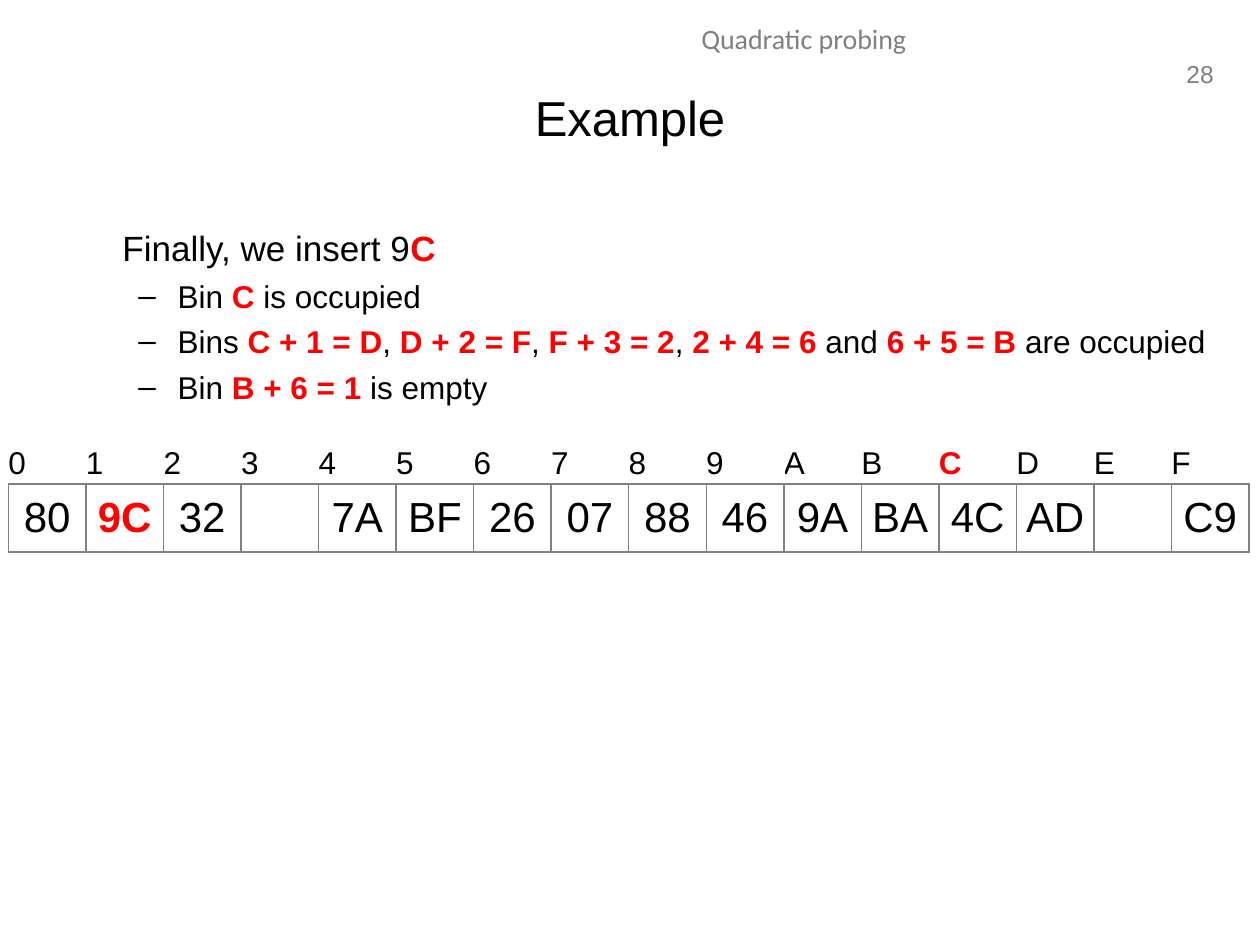
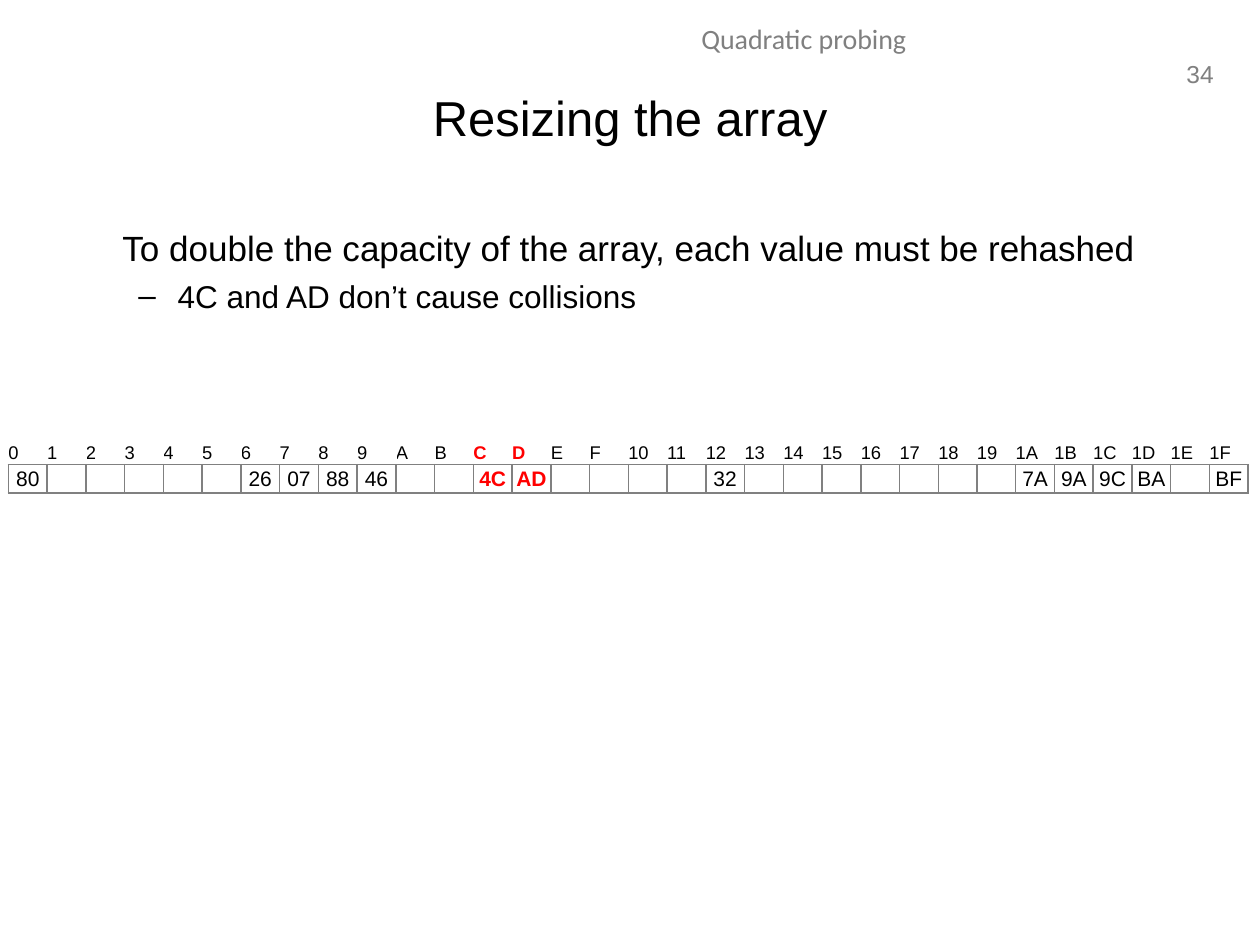
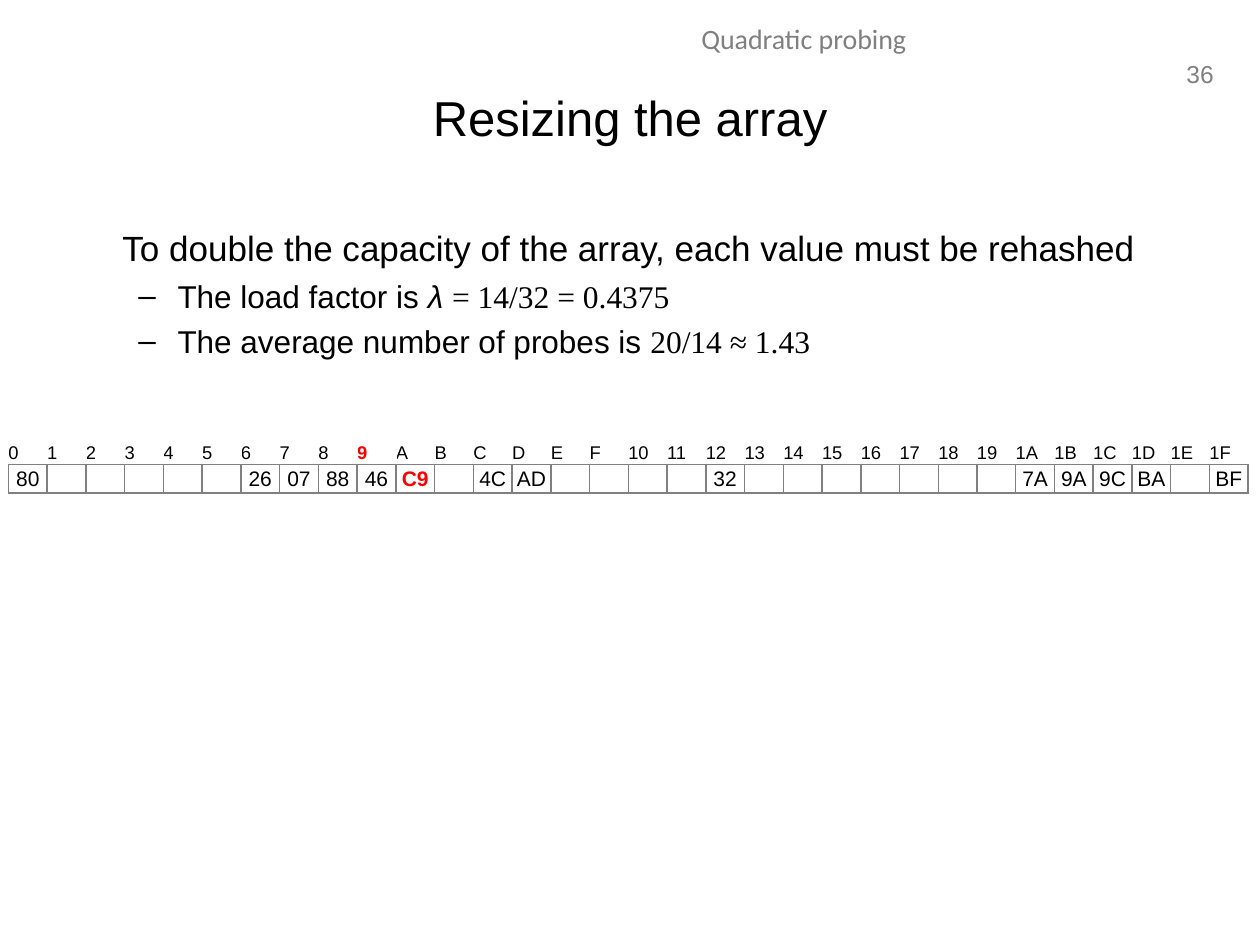
from lxml import etree
from pptx import Presentation
from pptx import util as u
from pptx.dml.color import RGBColor
from pptx.enum import text
from pptx.oxml import ns

BLACK = RGBColor(0x00, 0x00, 0x00)
RED = RGBColor(0xFF, 0x00, 0x00)
GREY = RGBColor(0x80, 0x80, 0x80)
LEFT, CENTER, RIGHT = text.PP_ALIGN.LEFT, text.PP_ALIGN.CENTER, text.PP_ALIGN.RIGHT
TABLE_WIDTH = 25.02
STYLES = {
    "plain": {},
    "red": {"color": RED, "bold": True},
    "variable": {"italic": True},
    "math": {"font": "Times New Roman"},
}

small_bins = ["80", "9C", "32", "", "7A", "BF", "26", "07",
              "88", "46", "9A", "BA", "4C", "AD", "", "C9"]
rehashed = {0x0: "80", 0x6: "26", 0x7: "07", 0x8: "88", 0x9: "46", 0xC: "4C", 0xD: "AD",
            0x12: "32", 0x1A: "7A", 0x1B: "9A", 0x1C: "9C", 0x1D: "BA", 0x1F: "BF"}
with_c9 = {**rehashed, 0xA: "C9"}
small_layout = {"label_size": 18, "value_size": 24, "rows": (0.84, 1.37)}
large_layout = {"label_size": 10.5, "value_size": 12, "rows": (0.41, 0.57)}
rehash_lead = [("To double the capacity of the array, each value must be rehashed", "plain")]

slides = [
    {
        "number": "28", "title": "Example", "body_width": 23.62,
        "lead": [("Finally, we insert 9", "plain"), ("C", "red")],
        "points": [
            [("Bin ", "plain"), ("C", "red"), (" is occupied", "plain")],
            [("Bins ", "plain"), ("C + 1 = D", "red"), (", ", "plain"),
             ("D + 2 = F", "red"), (", ", "plain"), ("F + 3 = 2", "red"),
             (", ", "plain"), ("2 + 4 = 6", "red"), (" and ", "plain"),
             ("6 + 5 = B", "red"), (" are occupied", "plain")],
            [("Bin ", "plain"), ("B + 6 = 1 ", "red"), ("is empty", "plain")],
        ],
        "bins": small_bins, "layout": small_layout,
        "red_labels": ["C"], "red_values": ["9C"],
    },
    {
        "number": "34", "title": "Resizing the array", "body_width": 22.86,
        "lead": rehash_lead,
        "points": [[("4C and AD don’t cause collisions", "plain")]],
        "bins": [rehashed.get(i, "") for i in range(32)], "layout": large_layout,
        "red_labels": ["C", "D"], "red_values": ["4C", "AD"],
    },
    {
        "number": "36", "title": "Resizing the array", "body_width": 22.86,
        "lead": rehash_lead,
        "points": [
            [("The load factor is ", "plain"), ("λ ", "variable"), ("= 14/32 = 0.4375", "math")],
            [("The average number of probes is ", "plain"), ("20/14 ≈ 1.43", "math")],
        ],
        "bins": [with_c9.get(i, "") for i in range(32)], "layout": large_layout,
        "red_labels": ["9"], "red_values": ["C9"],
    },
]


def add_run(p, content, size, color=BLACK, bold=False, italic=False, font="Arial"):
    r = p.add_run()
    r.text = content
    r.font.size = u.Pt(size)
    r.font.name = font
    r.font.bold = bold
    r.font.italic = italic
    r.font.color.rgb = color


def add_box(s, left, top, width, height, align=LEFT, wrap=True):
    sp = s.shapes.add_textbox(u.Cm(left), u.Cm(top), u.Cm(width), u.Cm(height))
    tf = sp.text_frame
    tf.word_wrap = wrap
    tf.paragraphs[0].alignment = align
    return tf


prs = Presentation()
prs.slide_width, prs.slide_height = u.Cm(25.4), u.Cm(19.05)

for data in slides:
    s = prs.slides.add_slide(prs.slide_layouts[6])

    tf = add_box(s, 23.6, 1.07, 1.12, 0.84, RIGHT, wrap=False)
    add_run(tf.paragraphs[0], data["number"], 14, GREY)
    tf = add_box(s, 8.1, 0.3, 16.21, 1.02, CENTER)
    add_run(tf.paragraphs[0], "Quadratic probing", 16, GREY, font="Calibri")

    tf = add_box(s, 1.27, 4.45, data["body_width"], 12.57)
    p = tf.paragraphs[0]
    p._p.get_or_add_pPr().set("marL", str(u.Cm(0.95)))
    for content, style in data["lead"]:
        add_run(p, content, 20, **STYLES[style])
    for point in data["points"]:
        p = tf.add_paragraph()
        p.level = 1
        p.space_before = u.Pt(4.4)
        pPr = p._p.get_or_add_pPr()
        pPr.set("marL", str(u.Cm(2.06)))
        pPr.set("indent", str(u.Cm(-0.79)))
        etree.SubElement(pPr, ns.qn("a:buFont"), typeface="Arial")
        etree.SubElement(pPr, ns.qn("a:buChar"), char="–")
        for content, style in point:
            add_run(p, content, 18, **STYLES[style])

    tf = add_box(s, 1.27, 0.76, 22.86, 3.18, CENTER)
    tf.vertical_anchor = text.MSO_ANCHOR.MIDDLE
    add_run(tf.paragraphs[0], data["title"], 28)

    bins, layout = data["bins"], data["layout"]
    labels = [f"{i:X}" for i in range(len(bins))]
    rows = [
        (labels, data["red_labels"], layout["label_size"], LEFT, ["lnB"]),
        (bins, data["red_values"], layout["value_size"], CENTER, ["lnL", "lnR", "lnT", "lnB"]),
    ]
    table = s.shapes.add_table(2, len(bins), u.Cm(0.17), u.Cm(8.92),
                               u.Cm(TABLE_WIDTH), u.Cm(sum(layout["rows"]))).table
    table.first_row = table.horz_banding = False
    for column in table.columns:
        column.width = u.Cm(TABLE_WIDTH / len(bins))
    for row, (values, reds, size, align, borders) in enumerate(rows):
        table.rows[row].height = u.Cm(layout["rows"][row])
        for col, value in enumerate(values):
            cell = table.cell(row, col)
            cell.margin_left = cell.margin_right = cell.margin_top = cell.margin_bottom = 0
            cell.vertical_anchor = text.MSO_ANCHOR.MIDDLE
            cell.fill.background()
            tcPr = cell._tc.get_or_add_tcPr()
            for i, side in enumerate(borders):
                ln = etree.Element(ns.qn(f"a:{side}"), w=str(u.Pt(1)))
                fill = etree.SubElement(ln, ns.qn("a:solidFill"))
                etree.SubElement(fill, ns.qn("a:srgbClr"), val=str(GREY))
                tcPr.insert(i, ln)
            p = cell.text_frame.paragraphs[0]
            p.alignment = align
            if value:
                add_run(p, value, size, **STYLES["red" if value in reds else "plain"])
            else:
                etree.SubElement(p._p, ns.qn("a:endParaRPr"), sz=str(int(size * 100)))

prs.save("out.pptx")
